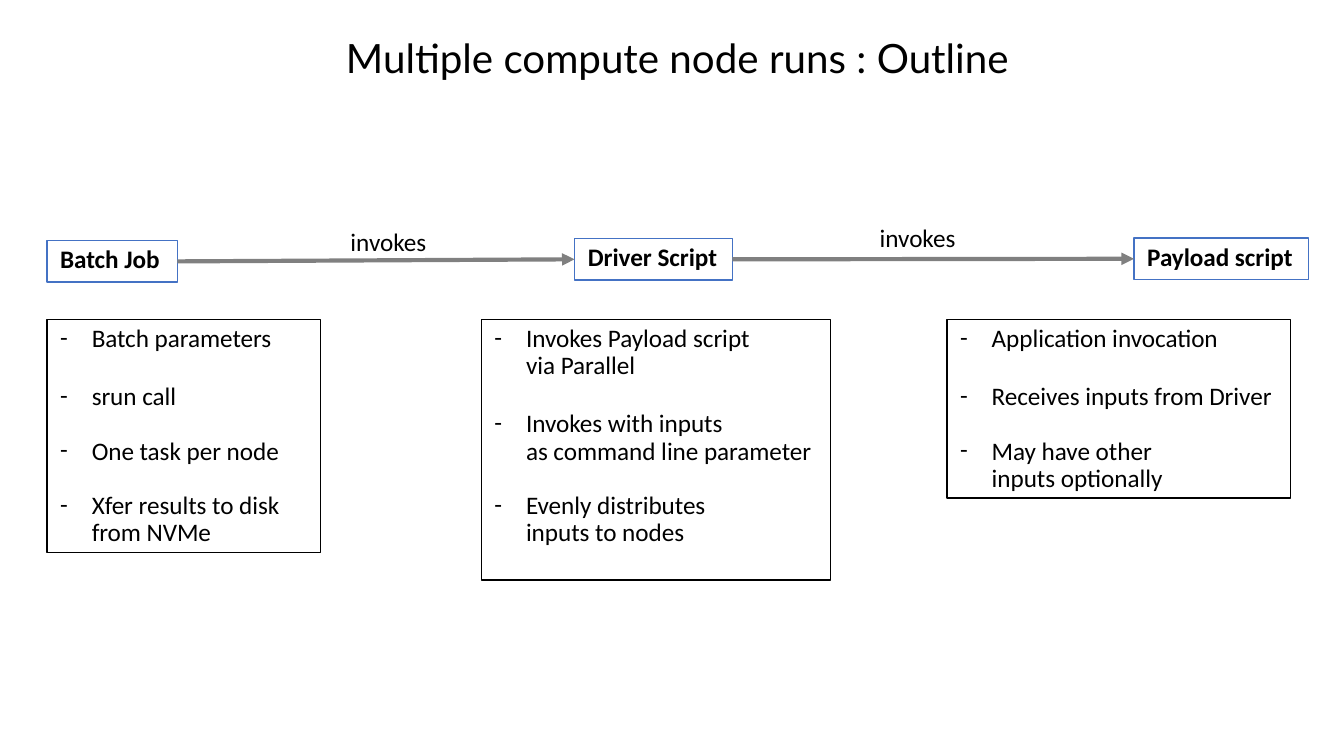
from lxml import etree
from pptx import Presentation
from pptx.dml.color import RGBColor
from pptx.enum.shapes import MSO_CONNECTOR, MSO_SHAPE
from pptx.enum.text import MSO_ANCHOR, MSO_AUTO_SIZE, PP_ALIGN
from pptx.oxml.ns import qn
from pptx.util import Pt

RECTANGLE = MSO_SHAPE.RECTANGLE
STRAIGHT = MSO_CONNECTOR.STRAIGHT
TOP, MIDDLE = MSO_ANCHOR.TOP, MSO_ANCHOR.MIDDLE
LEFT, CENTER = PP_ALIGN.LEFT, PP_ALIGN.CENTER
NO_AUTOFIT = MSO_AUTO_SIZE.NONE

BLACK, BLUE, GRAY = "000000", "4472C4", "808080"
TEXT_FONT, TITLE_FONT = "Calibri", "Lato"
TEXT_SIZE = 13.5
LABEL_HEIGHT = 22.3
LIST_TOP = 171.1
INDENT = 16.9
LEFT_SIDE, RIGHT_SIDE = 1, 3

# Each stage: heading, heading box (left, top, width), list box (left, width, height), items
STAGES = [
    ("Batch Job", (25.2, 128.9, 69.8), (25.2, 146.5, 125),
     ["Batch parameters", "srun call", "One task per node",
      "Xfer results to disk\vfrom NVMe"]),
    ("Driver Script", (307.8, 127.8, 84.6), (257.8, 187, 139.7),
     ["Invokes Payload script\vvia Parallel",
      "Invokes with inputs\vas command line parameter",
      "Evenly distributes\vinputs to nodes"]),
    ("Payload script", (607.5, 127.5, 93.6), (507.3, 184, 95.8),
     ["Application invocation", "Receives inputs from Driver",
      "May have other\vinputs optionally"]),
]
INVOKES_LABELS = [(180.7, 119.4), (464.2, 117.2)]


def rgb(color):
    return RGBColor.from_string(color)


def format_text(frame, size=TEXT_SIZE, font=TEXT_FONT, bold=False, align=LEFT):
    frame.auto_size = NO_AUTOFIT
    size_code = str(int(size * 100))
    for paragraph in frame.paragraphs:
        paragraph.alignment = align
        paragraph.line_spacing = 0.9
        for run in paragraph.runs:
            run.font.name = font
            run.font.size = Pt(size)
            run.font.bold = bold
            run.font.color.rgb = rgb(BLACK)
        for line_break in paragraph._p.findall(qn("a:br")):
            etree.SubElement(line_break, qn("a:rPr"), sz=size_code)
        etree.SubElement(paragraph._p, qn("a:endParaRPr"), sz=size_code)


def add_box(slide, left, top, width, height, line_color):
    box = slide.shapes.add_shape(RECTANGLE, Pt(left), Pt(top), Pt(width), Pt(height))
    box.shadow.inherit = False
    box.fill.background()
    box.line.color.rgb = rgb(line_color)
    box.line.width = Pt(0.75)
    box.text_frame.vertical_anchor = TOP
    return box


def add_title(slide, left, top, width, height):
    title = slide.shapes.title
    title.left, title.top, title.width, title.height = map(Pt, (left, top, width, height))
    title.text_frame.text = "Multiple compute node runs : Outline"
    title.text_frame.vertical_anchor = MIDDLE
    format_text(title.text_frame, 21.6, TITLE_FONT, align=CENTER)


def add_heading(slide, heading, left, top, width):
    box = add_box(slide, left, top, width, LABEL_HEIGHT, BLUE)
    box.text_frame.text = heading
    box.text_frame.word_wrap = False
    format_text(box.text_frame, bold=True)
    return box


def add_details(slide, items, left, width, height):
    """Outlined list with hanging dashes."""
    frame = add_box(slide, left, LIST_TOP, width, height, BLACK).text_frame
    frame.word_wrap = True
    frame.text = "\n".join(items)
    format_text(frame)
    for index, paragraph in enumerate(frame.paragraphs):
        if index:
            paragraph.space_before = Pt(16.5 if index == 1 else 14.6)
        properties = paragraph._p.get_or_add_pPr()
        properties.set("marL", str(Pt(INDENT)))
        properties.set("indent", str(-Pt(INDENT)))
        etree.SubElement(properties, qn("a:buFont"), typeface=TEXT_FONT)
        etree.SubElement(properties, qn("a:buChar"), char="-")


def add_arrow(slide, source, target):
    arrow = slide.shapes.add_connector(STRAIGHT, 0, 0, 0, 0)
    arrow.begin_connect(source, RIGHT_SIDE)
    arrow.end_connect(target, LEFT_SIDE)
    arrow.line.color.rgb = rgb(GRAY)
    arrow.line.width = Pt(2.25)
    etree.SubElement(arrow.line._get_or_add_ln(), qn("a:tailEnd"), type="triangle")
    etree.SubElement(arrow._element.spPr, qn("a:effectLst"))


def add_invokes_label(slide, left, top):
    label = slide.shapes.add_textbox(Pt(left), Pt(top), Pt(55.4), Pt(LABEL_HEIGHT))
    label.text_frame.text = "invokes"
    label.text_frame.word_wrap = False
    format_text(label.text_frame)


def main():
    presentation = Presentation()
    presentation.slide_width, presentation.slide_height = Pt(720), Pt(405)
    slide = presentation.slides.add_slide(presentation.slide_layouts[5])

    add_title(slide, 25.2, 16.6, 675.4, 31.7)
    headings = [add_heading(slide, heading, *place) for heading, place, _, _ in STAGES]
    for source, target in zip(headings, headings[1:]):
        add_arrow(slide, source, target)
    for _, _, place, items in STAGES:
        add_details(slide, items, *place)
    for left, top in INVOKES_LABELS:
        add_invokes_label(slide, left, top)

    presentation.save("out.pptx")


if __name__ == "__main__":
    main()
